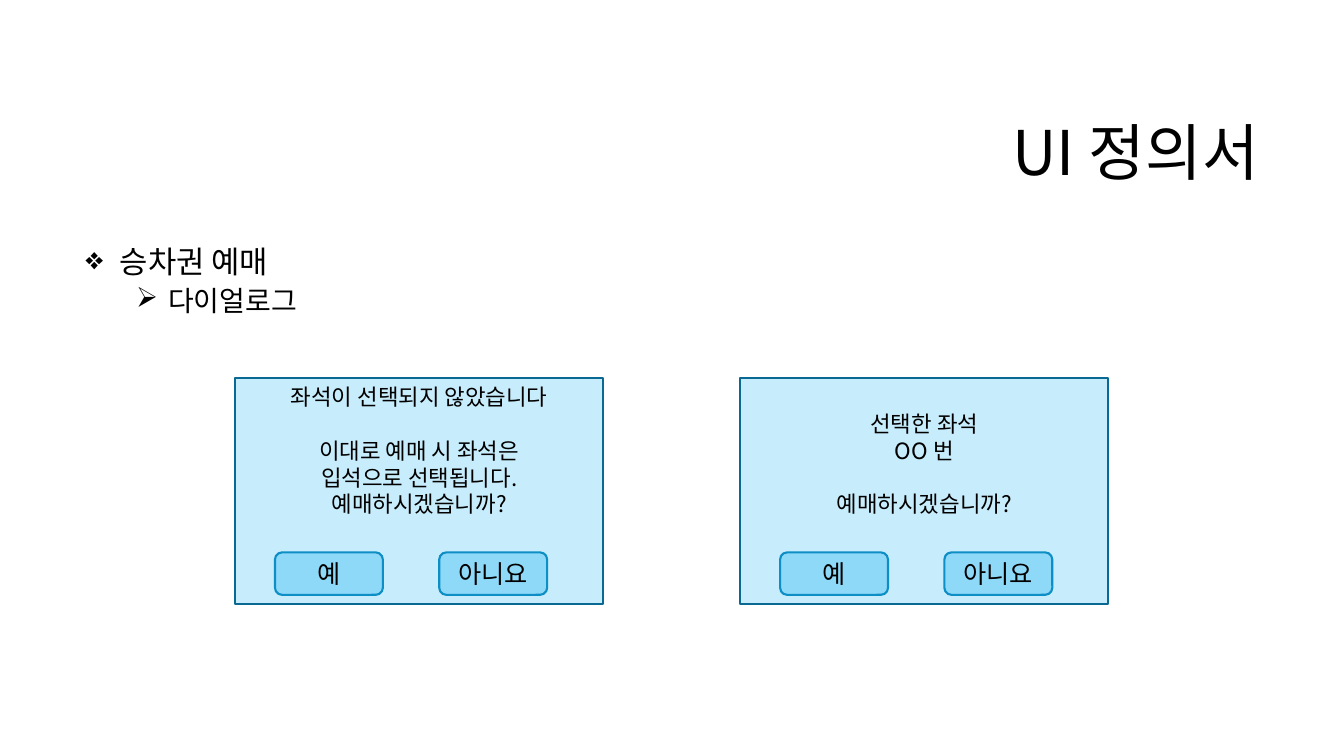
"""Build the UI definition slide with two ticket booking dialogs."""
from lxml import etree
from pptx import Presentation
from pptx.dml.color import RGBColor
from pptx.enum.shapes import MSO_SHAPE
from pptx.enum.text import MSO_ANCHOR, PP_ALIGN
from pptx.oxml.ns import qn
from pptx.util import Cm, Pt

RECTANGLE, ROUNDED = MSO_SHAPE.RECTANGLE, MSO_SHAPE.ROUNDED_RECTANGLE
TOP, MIDDLE = MSO_ANCHOR.TOP, MSO_ANCHOR.MIDDLE
LEFT, CENTER, RIGHT = PP_ALIGN.LEFT, PP_ALIGN.CENTER, PP_ALIGN.RIGHT
FONT = "Noto Sans CJK KR"


def format_paragraph(paragraph, size, alignment):
    paragraph.alignment = alignment
    for run in paragraph.runs:
        run.font.size = Pt(size)
        run.font.name = FONT
        run.font.color.rgb = RGBColor.from_string("000000")
        etree.SubElement(run.font._element, qn("a:ea"), typeface=FONT)


def add_box(kind, left, top, width, height, fill, line, text, size, anchor):
    shape = slide.shapes.add_shape(kind, Cm(left), Cm(top), Cm(width), Cm(height))
    shape.shadow.inherit = False
    shape.fill.solid()
    shape.fill.fore_color.rgb = RGBColor.from_string(fill)
    shape.line.color.rgb = RGBColor.from_string(line)
    shape.line.width = Pt(1.5)
    frame = shape.text_frame
    frame.text = text
    frame.word_wrap = True
    frame.vertical_anchor = anchor
    for paragraph in frame.paragraphs:
        format_paragraph(paragraph, size, CENTER)
    return frame


presentation = Presentation()
presentation.slide_width = Cm(33.87)
presentation.slide_height = Cm(19.05)
slide = presentation.slides.add_slide(presentation.slide_layouts[5])

title = slide.shapes.title
title.left, title.top, title.width, title.height = Cm(8.05), Cm(2.13), Cm(23.93), Cm(3.58)
title.text_frame.text = "UI 정의서"
title.text_frame.vertical_anchor = MIDDLE
title.text_frame.paragraphs[0].line_spacing = 0.9
format_paragraph(title.text_frame.paragraphs[0], 44, RIGHT)

outline = slide.shapes.add_textbox(Cm(1.91), Cm(6.1), Cm(30.05), Cm(11.18)).text_frame
outline.word_wrap = True
outline.text = "승차권 예매\n다이얼로그"
outline_styles = [(0, "❖", 22, 0, 0.86), (1, "➢", 20, 5, 2.08)]
for paragraph, (level, bullet, size, space, margin) in zip(outline.paragraphs, outline_styles):
    paragraph.level = level
    paragraph.line_spacing = 0.9
    paragraph.space_before = Pt(space)
    format_paragraph(paragraph, size, LEFT)
    properties = paragraph._p.get_or_add_pPr()
    properties.set("marL", str(Cm(margin)))
    properties.set("indent", str(-Cm(margin - 1.27 * level)))
    etree.SubElement(properties, qn("a:buChar"), char=bullet)

dialogs = [
    (5.93, 0.13, 1,
     "좌석이 선택되지 않았습니다\n이대로 예매 시 좌석은\n입석으로 선택됩니다.\n예매하시겠습니까?"),
    (18.66, 0.8, 2, "선택한 좌석\nOO 번\n예매하시겠습니까?"),
]
for left, inset, gap_index, message in dialogs:
    dialog = add_box(RECTANGLE, left, 9.53, 9.27, 5.69, "C7ECFB", "0A6992", message, 16, TOP)
    dialog.margin_top = Cm(inset)
    dialog.paragraphs[gap_index].space_before = Pt(19)
    for index, answer in enumerate(["예", "아니요"]):
        add_box(ROUNDED, left + 1 + 4.14 * index, 13.92, 2.72, 1.07,
                "8ED8F8", "0D8EC5", answer, 18, MIDDLE)

presentation.save("out.pptx")
